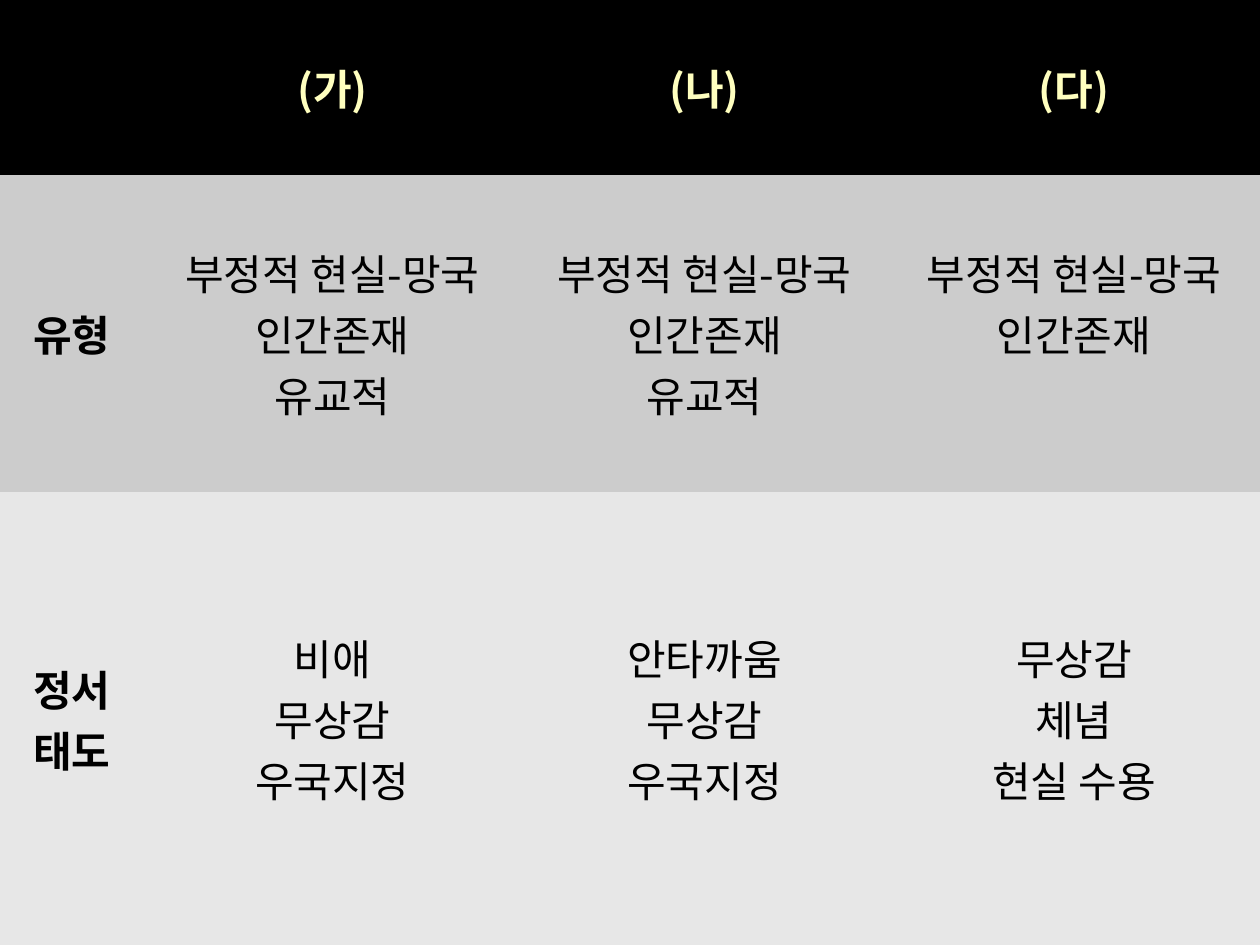
from dataclasses import dataclass

from lxml.etree import SubElement
from pptx import Presentation
from pptx.dml.color import RGBColor
from pptx.enum.text import MSO_ANCHOR, PP_ALIGN
from pptx.oxml.ns import qn
from pptx.table import _Cell
from pptx.util import Cm, Pt

BLACK = RGBColor(0x00, 0x00, 0x00)
PALE_YELLOW = RGBColor(0xFF, 0xFF, 0xBF)
MID_GREY = RGBColor(0xCC, 0xCC, 0xCC)
LIGHT_GREY = RGBColor(0xE7, 0xE7, 0xE7)

FONT = "Noto Sans CJK KR"
PLAIN_TABLE_STYLE = "{2D5ABB26-0587-4C30-8999-92F81FD0307C}"
COLUMN_WIDTHS = (2.9, 7.6, 7.4, 7.5)
CELL_MARGIN = 0.13
LINE_HEIGHT = 1.23


@dataclass(frozen=True)
class Band:
    height: float
    fill: RGBColor
    entries: tuple[str, ...]
    color: RGBColor = BLACK
    bold: bool = False
    lines: int = 1  # lines reserved so that entries start level


BANDS = (
    Band(3.53, BLACK, ("", "(가)", "(나)", "(다)"), PALE_YELLOW, bold=True),
    Band(6.38, MID_GREY, (
        "유형",
        "부정적 현실-망국\n인간존재\n유교적",
        "부정적 현실-망국\n인간존재\n유교적",
        "부정적 현실-망국\n인간존재",
    ), lines=3),
    Band(9.14, LIGHT_GREY, (
        "정서\n태도",
        "비애\n무상감\n우국지정",
        "안타까움\n무상감\n우국지정",
        "무상감\n체념\n현실 수용",
    ), lines=3),
)


def write_text(cell: _Cell, text: str, *, color: RGBColor, bold: bool,
               size: float = 24) -> None:
    """Fill a cell with one centred paragraph per line of text."""
    cell.vertical_anchor = MSO_ANCHOR.MIDDLE
    cell.text_frame.text = text
    for paragraph in cell.text_frame.paragraphs:
        paragraph.alignment = PP_ALIGN.CENTER
        for run in paragraph.runs:
            font = run.font
            font.name, font.size, font.bold = FONT, Pt(size), bold
            font.color.rgb = color
            SubElement(run._r.get_or_add_rPr(), qn("a:ea"), typeface=FONT)


def fill_band(cells: list[_Cell], band: Band) -> None:
    for column, (cell, entry) in enumerate(zip(cells, band.entries)):
        cell.fill.solid()
        cell.fill.fore_color.rgb = band.fill
        is_label = column == 0
        write_text(cell, entry, color=band.color, bold=band.bold or is_label)
        if not is_label:
            missing = band.lines - len(entry.split("\n"))
            cell.margin_bottom = Cm(CELL_MARGIN + missing * LINE_HEIGHT)


# Slide
presentation = Presentation()
presentation.slide_width, presentation.slide_height = Cm(25.4), Cm(19.05)
slide = presentation.slides.add_slide(presentation.slide_layouts[6])

# Comparison table covering the slide
comparison = slide.shapes.add_table(
    len(BANDS), len(COLUMN_WIDTHS), Cm(0), Cm(0),
    presentation.slide_width, presentation.slide_height).table
comparison.first_row = comparison.horz_banding = False
comparison._tbl.tblPr.find(qn("a:tableStyleId")).text = PLAIN_TABLE_STYLE

for column, width in zip(comparison.columns, COLUMN_WIDTHS):
    column.width = Cm(width)
for row, band in zip(comparison.rows, BANDS):
    row.height = Cm(band.height)
    fill_band(list(row.cells), band)

presentation.save("out.pptx")
